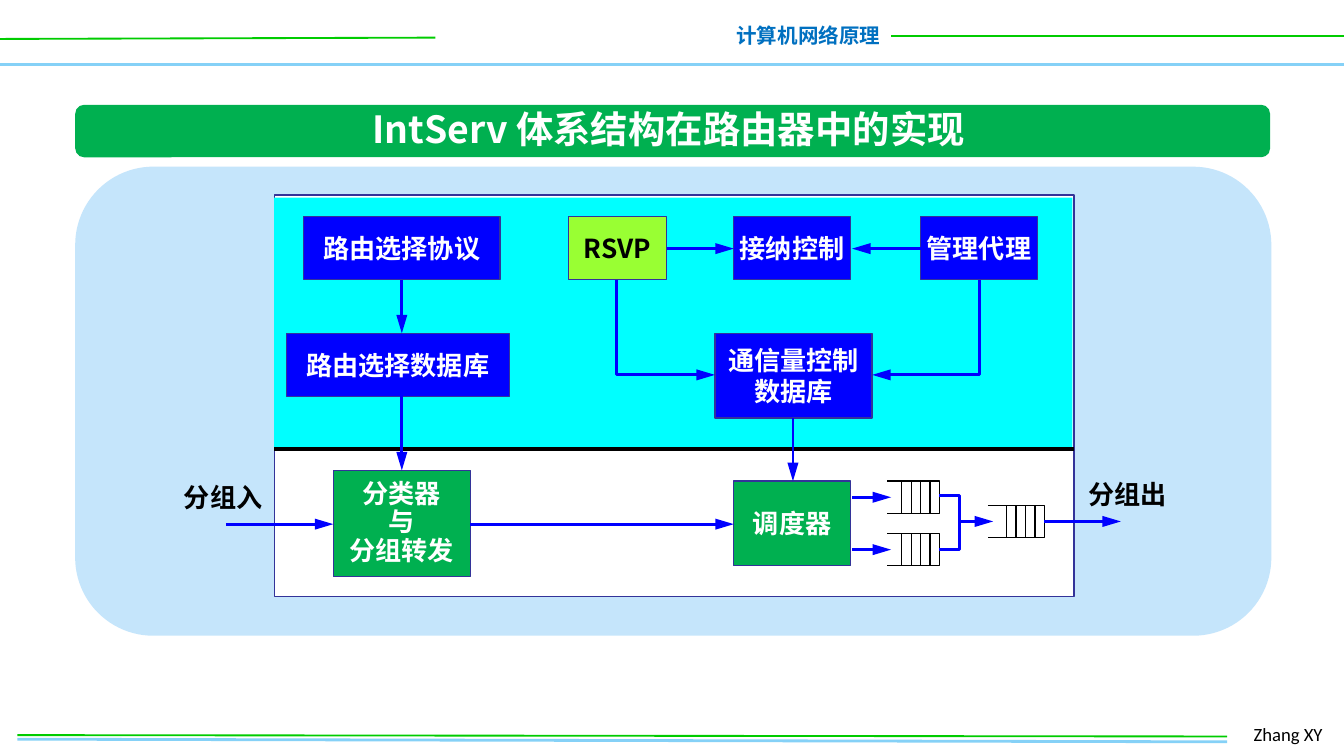
import pptx
import pptx.dml.color
import pptx.enum.shapes
import pptx.enum.text
import pptx.oxml
import pptx.oxml.ns
import pptx.util

Inches = pptx.util.Inches
Pt = pptx.util.Pt
RGBColor = pptx.dml.color.RGBColor
MSO_SHAPE = pptx.enum.shapes.MSO_SHAPE
PP_ALIGN = pptx.enum.text.PP_ALIGN
qn = pptx.oxml.ns.qn

WHITE = RGBColor(0xFF, 0xFF, 0xFF)
BLACK = RGBColor(0, 0, 0)
BLUE = RGBColor(0, 0, 0xFF)
NAVY = RGBColor(0x33, 0x33, 0x99)
CYAN = RGBColor(0, 0xFF, 0xFF)
LIME = RGBColor(0x99, 0xFF, 0x33)
GREEN = RGBColor(0, 0xB0, 0x50)
RULE_GREEN = RGBColor(0, 0xCC, 0)
RULE_BLUE = RGBColor(0x85, 0xD1, 0xF7)
PALE_BLUE = RGBColor(0xC5, 0xE5, 0xFB)
HEADER_BLUE = RGBColor(0, 0x70, 0xC0)
CJK_FONT = "Noto Sans CJK SC"


def add_element(parent, tag, **attributes):
    """Append an empty drawing element to a parent."""
    element = pptx.oxml.parse_xml(f"<{tag} {pptx.oxml.ns.nsdecls('a')}/>")
    for name, value in attributes.items():
        element.set(name, value)
    parent.append(element)


def write(shape, text, size, color, align=PP_ALIGN.LEFT, font=CJK_FONT,
          bold=True, wrap=False, spacing=None):
    """Fill a shape with evenly styled paragraphs."""
    frame = shape.text_frame
    frame.word_wrap = wrap
    frame.text = text
    for paragraph in frame.paragraphs:
        paragraph.alignment = align
        if spacing:
            paragraph.line_spacing = spacing
        paragraph.font.size = Pt(size)
        paragraph.font.bold = bold
        paragraph.font.name = font
        paragraph.font.color.rgb = color
        properties = paragraph._p.pPr.find(qn("a:defRPr"))
        add_element(properties, "a:ea", typeface=font)


def add_label(slide, box, text, size, color, **style):
    """Add a text box."""
    shape = slide.shapes.add_textbox(*map(Inches, box))
    write(shape, text, size, color, **style)


def add_block(slide, box, fill, outline=None, kind=MSO_SHAPE.RECTANGLE):
    """Add a flat filled shape."""
    shape = slide.shapes.add_shape(kind, *map(Inches, box))
    shape.shadow.inherit = False
    shape.fill.solid()
    shape.fill.fore_color.rgb = fill
    if outline is None:
        shape.line.fill.background()
    else:
        shape.line.color.rgb = outline
        shape.line.width = Pt(0.75)
    return shape


def add_path(slide, points, color, width, arrow=False):
    """Draw a straight connector, or an open outline through several points."""
    points = [(Inches(x), Inches(y)) for x, y in points]
    if len(points) == 2:
        shape = slide.shapes.add_connector(
            pptx.enum.shapes.MSO_CONNECTOR.STRAIGHT, *points[0], *points[1])
    else:
        builder = slide.shapes.build_freeform(*points[0])
        builder.add_line_segments(points[1:], close=False)
        shape = builder.convert_to_shape()
        shape.fill.background()
    shape.line.color.rgb = color
    shape.line.width = Pt(width)
    properties = shape._element.spPr
    if arrow:
        add_element(properties.find(qn("a:ln")), "a:tailEnd",
                    type="triangle", w="med", len="lg")
    add_element(properties, "a:effectLst")


def add_header(slide, left, top, width):
    """Place the course name and the rules at the top."""
    add_path(slide, [(left, top + 0.48), (left + width, top + 0.48)], RULE_BLUE, 2)
    add_path(slide, [(left, top + 0.29), (left + 3.24, top + 0.28)], RULE_GREEN, 1)
    add_path(slide, [(left + 6.63, top + 0.27), (left + width + 0.01, top + 0.27)],
             RULE_GREEN, 1)
    add_label(slide, (left + 5.37, top + 0.12, 1.28, 0.29), "计算机网络原理",
              11, HEADER_BLUE, align=PP_ALIGN.RIGHT)


def add_footer(slide, left, top, width):
    """Place the author and the double rule at the bottom."""
    add_path(slide, [(left, top + 0.17), (left + width, top + 0.19)], RULE_BLUE, 1.5)
    add_path(slide, [(left, top + 0.14), (left + width, top + 0.15)], RULE_GREEN, 1)
    add_label(slide, (left + width + 0.1, top, 0.74, 0.27), "Zhang XY", 10, BLACK,
              font="Calibri", bold=False, wrap=True)


def add_title(slide, left, top, width, height):
    """Place the title on its green bar."""
    bar = add_block(slide, (left, top, width, height), GREEN,
                    kind=MSO_SHAPE.ROUNDED_RECTANGLE)
    bar.adjustments[0] = 0.167
    add_label(slide, (left + 2.04, top - 0.04, width - 4.14, 0.44),
              "IntServ 体系结构在路由器中的实现", 20, WHITE, align=PP_ALIGN.CENTER)


def add_queue(slide, left, top, width, height=0.24):
    """Draw a queue open at the left, with four slot lines."""
    right, bottom = left + width, top + height
    add_path(slide, [(left, top), (right, top), (right, bottom), (left, bottom)],
             BLACK, 0.75)
    for slot in range(1, 5):
        x = right - 0.07 * slot
        add_path(slide, [(x, top), (x, bottom)], BLACK, 0.75)


def add_router(slide, left, top, width, height):
    """Draw the router with its control and forwarding parts."""
    divider = 1.89
    add_block(slide, (left, top, width, height), WHITE, NAVY)
    add_block(slide, (left, top + 0.02, width - 0.01, divider - 0.01), CYAN)

    modules = [
        ("路由选择协议", (0.22, 0.16, 1.46, 0.47), BLUE, WHITE, None),
        ("路由选择数据库", (0.09, 1.03, 1.66, 0.47), BLUE, WHITE, None),
        ("RSVP", (2.19, 0.16, 0.73, 0.47), LIME, BLACK, None),
        ("接纳控制", (3.42, 0.16, 0.87, 0.47), BLUE, WHITE, None),
        ("管理代理", (4.81, 0.16, 0.87, 0.47), BLUE, WHITE, None),
        ("通信量控制\n数据库", (3.28, 1.03, 1.17, 0.63), BLUE, WHITE, None),
        ("分类器\n与\n分组转发", (0.44, 2.05, 1.02, 0.79), GREEN, WHITE, 0.9),
        ("调度器", (3.42, 2.13, 0.87, 0.63), GREEN, WHITE, None),
    ]
    for text, (x, y, block_width, block_height), fill, color, spacing in modules:
        block = add_block(slide, (left + x, top + y, block_width, block_height),
                          fill, NAVY)
        block.text_frame.vertical_anchor = pptx.enum.text.MSO_ANCHOR.MIDDLE
        write(block, text, 14, color, align=PP_ALIGN.CENTER, spacing=spacing)

    add_path(slide, [(left, top + divider), (left + width, top + divider)],
             BLACK, 2.25)
    for x, y, queue_width in [(4.56, 2.13, 0.39), (4.56, 2.52, 0.39),
                              (5.31, 2.31, 0.42)]:
        add_queue(slide, left + x, top + y, queue_width)

    merge = [(4.95, 2.24), (5.1, 2.24), (5.1, 2.64), (4.95, 2.64)]
    flows = [
        [(0.95, 0.63), (0.95, 1.03)],
        [(0.95, 1.5), (0.95, 2.05)],
        [(2.92, 0.4), (3.42, 0.4)],
        [(4.81, 0.4), (4.3, 0.4)],
        [(2.55, 0.63), (2.55, 1.34), (3.28, 1.34)],
        [(5.25, 0.63), (5.25, 1.34), (4.45, 1.34)],
        [(3.86, 1.66), (3.86, 2.13)],
        [(-0.36, 2.45), (0.44, 2.45)],
        [(1.46, 2.45), (3.42, 2.45)],
        [(4.3, 2.25), (4.59, 2.25)],
        [(4.3, 2.64), (4.59, 2.64)],
        merge,
        [(5.09, 2.43), (5.35, 2.43)],
        [(5.73, 2.43), (6.3, 2.43)],
    ]
    for flow in flows:
        points = [(left + x, top + y) for x, y in flow]
        add_path(slide, points, BLUE, 1.5, arrow=flow is not merge)

    for text, x, y in [("分组入", -0.77, 2.08), ("分组出", 5.96, 2.06)]:
        add_label(slide, (left + x, top + y, 0.79, 0.34), text, 14, BLACK)


def main():
    """Build the slide and save it."""
    presentation = pptx.Presentation()
    presentation.slide_width = Inches(10)
    presentation.slide_height = presentation.slide_width * 9 // 16
    slide = presentation.slides.add_slide(presentation.slide_layouts[6])
    add_header(slide, 0, 0, 10)
    add_footer(slide, 0.13, 5.33, 9)
    add_block(slide, (0.56, 1.24, 8.9, 3.49), PALE_BLUE,
              kind=MSO_SHAPE.ROUNDED_RECTANGLE)
    add_title(slide, 0.56, 0.78, 8.89, 0.39)
    add_router(slide, 2.04, 1.45, 5.95, 2.99)
    presentation.save("out.pptx")


if __name__ == "__main__":
    main()
